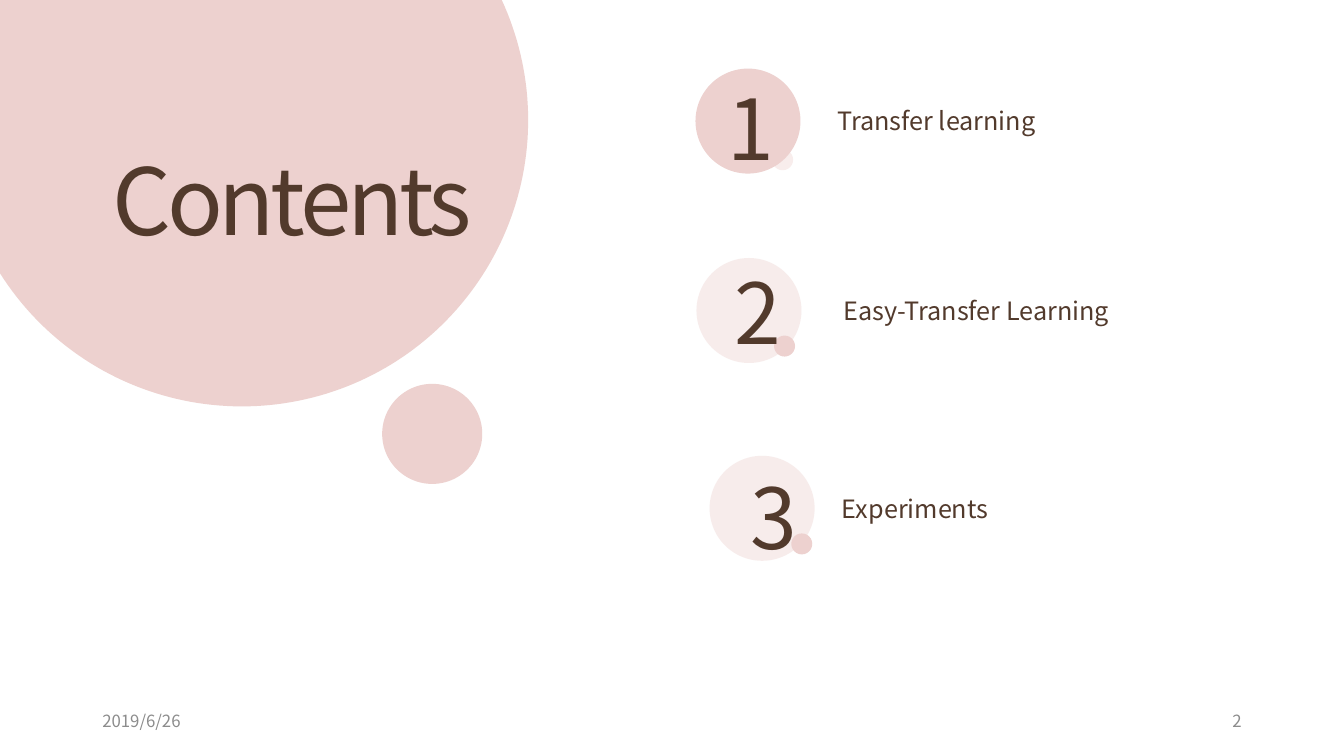
import math
from dataclasses import dataclass

from lxml import etree
from pptx import Presentation
from pptx.dml.color import RGBColor
from pptx.enum import shapes, text
from pptx.oxml import ns
from pptx.util import Pt


@dataclass(frozen=True)
class Theme:
    font: str = "Noto Sans CJK SC"
    brown: str = "523A2C"
    grey: str = "8C8C8C"
    rose: str = "EDD1CF"
    pale: str = "F8EDEC"
    blush: str = "F6E8E7"
    title: int = 66
    number: int = 60
    label: int = 18
    footer: int = 12


T = Theme()
LEFT, CENTER, RIGHT = (text.PP_ALIGN.LEFT, text.PP_ALIGN.CENTER,
                       text.PP_ALIGN.RIGHT)
TOP, MIDDLE = text.MSO_ANCHOR.TOP, text.MSO_ANCHOR.MIDDLE
CIRCLE, DOT = 75, 15


def place(sp, box):
    for name, value in zip(("left", "top", "width", "height"), box):
        setattr(sp, name, Pt(value))


def write(sp, words, size, color, align=CENTER, anchor=MIDDLE, wrap=True):
    tf = sp.text_frame
    frame = {"auto_size": text.MSO_AUTO_SIZE.NONE, "word_wrap": wrap,
             "vertical_anchor": anchor}
    for name, value in frame.items():
        setattr(tf, name, value)
    p = tf.paragraphs[0]
    p.alignment = align
    r = p.add_run()
    r.text = words
    for name, value in {"name": T.font, "size": Pt(size)}.items():
        setattr(r.font, name, value)
    r.font.color.rgb = RGBColor.from_string(color)
    return r


def add_text(s, box, *args, **kwargs):
    sp = s.shapes.add_textbox(*map(Pt, box))
    return write(sp, *args, **kwargs)


def paint(sp, color, alpha=100):
    sp.shadow.inherit = False
    sp.fill.solid()
    sp.fill.fore_color.rgb = RGBColor.from_string(color)
    sp.line.fill.background()
    if alpha < 100:
        rgb = sp.fill._xPr.find(".//" + ns.qn("a:srgbClr"))
        etree.SubElement(rgb, ns.qn("a:alpha"), val=str(alpha * 1000))


def add_circle(s, x, y, size, color, alpha=100):
    sp = s.shapes.add_shape(shapes.MSO_SHAPE.OVAL,
                            *map(Pt, (x, y, size, size)))
    paint(sp, color, alpha)


def add_title(s, box):
    """Large disc cut by the slide corner, its satellite and the title."""
    x, y, w, h = box
    radius = 204.5
    cx, cy = x + w - radius, y + h - radius

    # Arc from the top edge clockwise to the left edge
    start = -math.asin((cy - y) / radius)
    end = math.pi - math.acos((cx - x) / radius)
    steps = 120
    angles = [start + (end - start) * i / steps for i in range(steps + 1)]
    arc = [(Pt(cx + radius * math.cos(a)), Pt(cy + radius * math.sin(a)))
           for a in angles]
    builder = s.shapes.build_freeform(Pt(x), Pt(y))
    builder.add_line_segments(arc, close=True)
    paint(builder.convert_to_shape(), T.rose)

    add_circle(s, x + 273, y + 274.2, 71.5, T.rose)

    # Title placeholder, raised above the disc
    title = s.shapes.title
    s.shapes._spTree.append(title._element)
    place(title, (x - 5, y + 108, 427.7, 67))
    r = write(title, "Contents", T.title, T.brown)
    r._r.get_or_add_rPr().set("spc", "-300")


def add_entry(s, box, number, words, label_dx, number_at, dot_at, active):
    """Numbered circle with a small dot and a label."""
    x, y, w, h = box
    circle = (x, y, CIRCLE) + ((T.rose,) if active else (T.blush, 80))
    dot = (x + dot_at[0], y + dot_at[1], DOT, T.pale if active else T.rose)
    # The active circle covers its dot
    for disc in ((dot, circle) if active else (circle, dot)):
        add_circle(s, *disc)
    add_text(s, (x + number_at[0], y + number_at[1], 34, 75.6), number,
             T.number, T.brown)
    add_text(s, (x + label_dx, y + 23, w - label_dx, 29), words,
             T.label, T.brown, anchor=TOP, wrap=False)


def add_footer(s, box):
    """Date on the left and slide number on the right."""
    x, y, w, h = box
    width = 216
    add_text(s, (x, y, width, h), "2019/6/26", T.footer, T.grey, LEFT)
    add_text(s, (x + w - width, y, width, h), "2", T.footer, T.grey, RIGHT)


def main():
    prs = Presentation()
    prs.slide_width, prs.slide_height = Pt(960), Pt(540)
    s = prs.slides.add_slide(prs.slide_layouts[5])

    add_title(s, (0, 0, 377.3, 290.3))

    # Box, number, label, label offset, number offset, dot offset, active
    entries = [
        ((496.8, 49, 250.6, 75), "1", "Transfer learning",
         93.6, (15.8, 3.6), (54.7, 57.6), True),
        ((497.5, 184.3, 303.1, 75), "2", "Easy-Transfer Learning",
         96.5, (20.2, 0), (55.4, 55.4), False),
        ((506.9, 325.6, 206.6, 75), "3", "Experiments",
         87.1, (22.3, 5), (58.3, 55.4), False),
    ]
    for entry in entries:
        add_entry(s, *entry)

    add_footer(s, (66, 500.5, 828, 28.8))
    prs.save("out.pptx")


if __name__ == "__main__":
    main()
